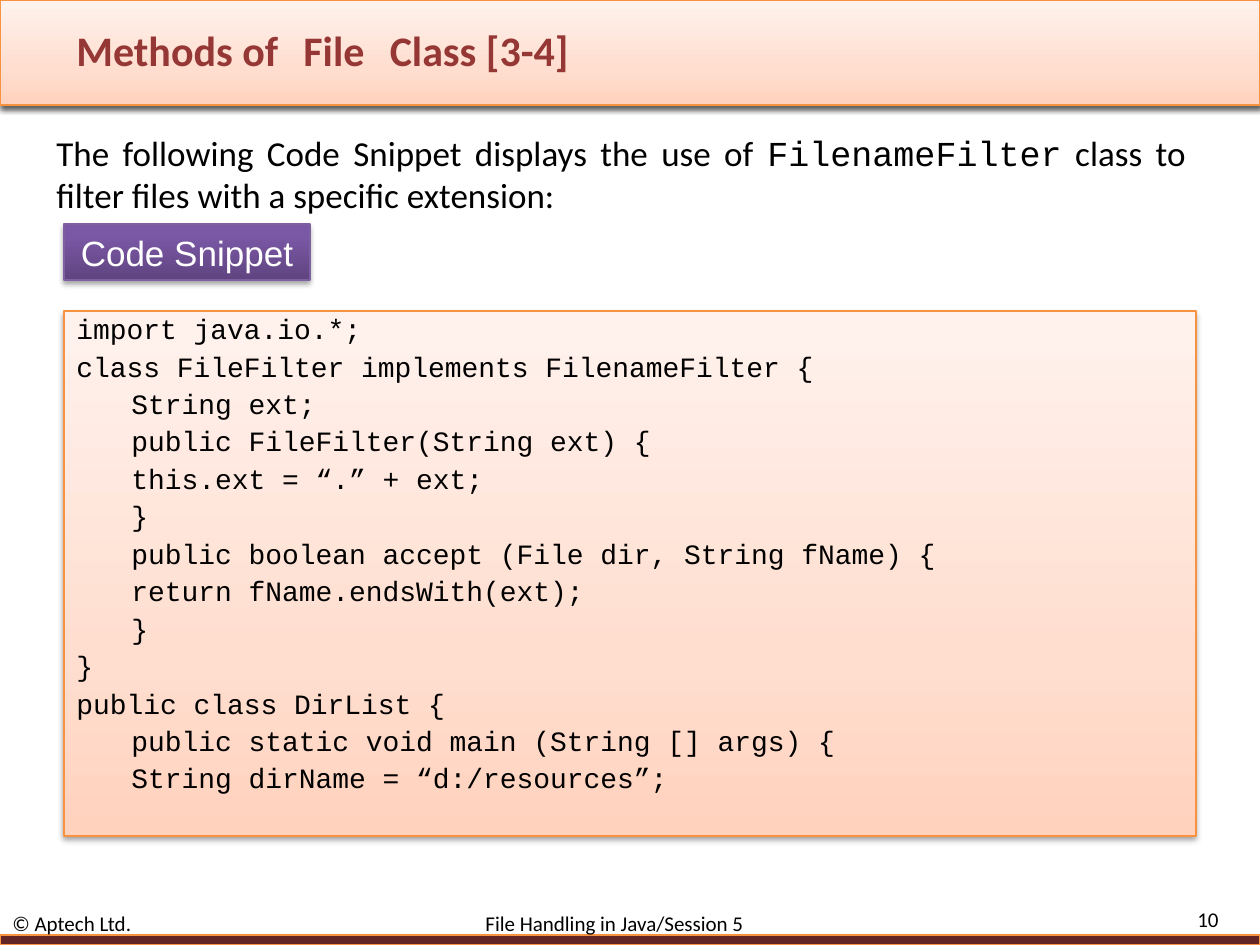
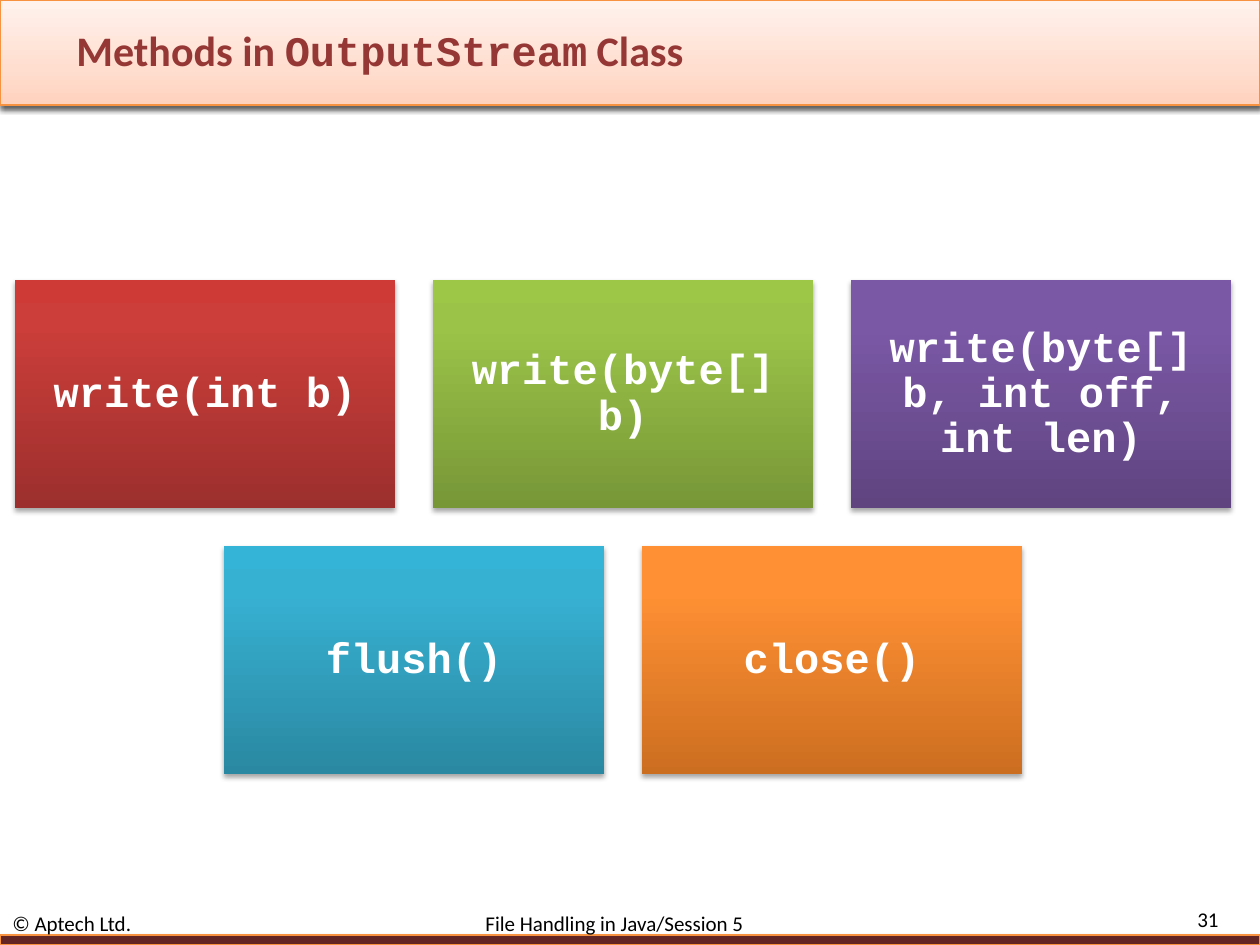
from copy import deepcopy
from lxml import etree
from pptx import Presentation, util as u
from pptx.dml.color import RGBColor
from pptx.enum import shapes, text
from pptx.oxml.ns import qn

PX = u.Inches(1) / 126
color = RGBColor.from_string

# Shared style: gradients run from bottom to top
PEACH = [(0, "FFD2BD"), (0.35, "FFDED0"), (1, "FFF2ED")]
RED = [(0, "9C2F2D"), (0.8, "CB3E3A"), (1, "CE3B37")]
GREEN = [(0, "779737"), (0.8, "9BC348"), (1, "9DC746")]
PURPLE = [(0, "5F4480"), (0.8, "7B58A6"), (1, "7C57A8")]
BLUE = [(0, "2A88A2"), (0.8, "37B1D2"), (1, "34B4D6")]
ORANGE = [(0, "CC6E20"), (0.8, "FF9034"), (1, "FF9136")]
MAROON, EDGE = "632523", "F69240"
SANS, MONO, LABEL = "Calibri", "Courier New", "Arial"
TITLE = {"size": u.Pt(24), "bold": True, "color": "953735"}
BODY = {"size": u.Pt(20), "color": "000000"}
CODE = {"size": u.Pt(16), "color": "000000"}
FOOTER = {"size": u.Pt(12), "color": "000000"}
TAG = {"size": u.Pt(20), "color": "FFFFFF"}
TILE = {"size": u.Pt(24), "bold": True, "color": "FFFFFF"}
LEFT, CENTER, RIGHT, JUSTIFY = (text.PP_ALIGN.LEFT, text.PP_ALIGN.CENTER,
                                text.PP_ALIGN.RIGHT, text.PP_ALIGN.JUSTIFY)
TOP, MIDDLE = text.MSO_ANCHOR.TOP, text.MSO_ANCHOR.MIDDLE


def add_box(slide, at, fill, line=None, shadow=35):
    """Add a shadowed rectangle with a solid or gradient fill."""
    shape = slide.shapes.add_shape(shapes.MSO_SHAPE.RECTANGLE, *[int(n * PX) for n in at])
    if isinstance(fill, str):
        shape.fill.solid()
        shape.fill.fore_color.rgb = color(fill)
    else:
        shape.fill.gradient()
        shape.fill.gradient_angle = 90
        stops = shape._element.spPr.find(".//" + qn("a:gsLst"))
        stops.append(deepcopy(stops[0]))
        for stop, (position, shade) in zip(shape.fill.gradient_stops, fill):
            stop.position = position
            stop.color.rgb = color(shade)
    if line:
        shape.line.color.rgb = color(line)
        shape.line.width = u.Pt(0.75)
    else:
        shape.line.fill.background()
    shape.shadow.inherit = False
    effects = shape._element.spPr.find(qn("a:effectLst"))
    outer = etree.SubElement(effects, qn("a:outerShdw"), blurRad=str(u.Pt(3.1)),
                             dist=str(u.Pt(1.8)), dir="5400000", rotWithShape="0")
    black = etree.SubElement(outer, qn("a:srgbClr"), val="000000")
    etree.SubElement(black, qn("a:alpha"), val=str(shadow * 1000))
    return shape


def write(shape, lines, style, align=LEFT, anchor=MIDDLE):
    """Write lines, each a list of (text, font name) runs, and return the paragraphs."""
    frame = shape.text_frame
    frame.word_wrap = True
    frame.vertical_anchor = anchor
    for number, runs in enumerate(lines):
        paragraph = frame.add_paragraph() if number else frame.paragraphs[0]
        paragraph.alignment = align
        for words, font_name in runs:
            run = paragraph.add_run()
            run.text = words
            run.font.name = font_name
            for name, value in style.items():
                if name == "color":
                    run.font.color.rgb = color(value)
                else:
                    setattr(run.font, name, value)
    return frame.paragraphs


presentation = Presentation()
presentation.slide_width, presentation.slide_height = u.Inches(10), u.Inches(7.5)

# Bands, title and footer on every slide
pages = [
    ("10", [("Methods of", SANS), (" ", MONO), ("File", SANS), (" ", MONO),
            ("Class [3-4]", SANS)]),
    ("31", [("Methods in ", SANS), ("OutputStream", MONO), (" Class", SANS)]),
]
for page_number, title in pages:
    slide = presentation.slides.add_slide(presentation.slide_layouts[6])
    add_box(slide, (0, 0, 1260, 105), PEACH, EDGE, 62)
    add_box(slide, (0, 935, 1260, 10), MAROON, EDGE)
    for at, runs, style, align in [
        ((64, 21, 1017, 57), title, TITLE, LEFT),
        ((0, 913, 1113, 21), [("© Aptech Ltd.\tFile Handling in Java/Session 5", SANS)],
         FOOTER, LEFT),
        ((1124, 908, 107, 23), [(page_number, SANS)], FOOTER, RIGHT),
    ]:
        shape = slide.shapes.add_textbox(*[int(n * PX) for n in at])
        paragraph = write(shape, [runs], style, align)[0]
        if "\t" in paragraph.text:
            tabs = etree.SubElement(paragraph._p.get_or_add_pPr(), qn("a:tabLst"))
            etree.SubElement(tabs, qn("a:tab"), pos=str(int(473 * PX)), algn="l")

code_slide, methods_slide = presentation.slides

# Introduction
introduction = code_slide.shapes.add_textbox(*[int(n * PX) for n in (44, 125, 1154, 95)])
write(introduction, [[
    ("The following Code Snippet displays the use of ", SANS),
    ("FilenameFilter", MONO),
    (" class to filter files with a specific extension:", SANS),
]], BODY, JUSTIFY, TOP)

# Code listing: (indented, line)
code = [
    (False, "import java.io.*;"),
    (False, "class FileFilter implements FilenameFilter {"),
    (True, "String ext;"),
    (True, "public FileFilter(String ext) {"),
    (True, "this.ext = “.” + ext;"),
    (True, "}"),
    (True, "public boolean accept (File dir, String fName) {"),
    (True, "return fName.endsWith(ext);"),
    (True, "}"),
    (False, "}"),
    (False, "public class DirList {"),
    (True, "public static void main (String [] args) {"),
    (True, "String dirName = “d:/resources”;"),
]
listing = add_box(code_slide, (64, 311, 1132, 525), PEACH, EDGE, 38)
paragraphs = write(listing, [[(line, MONO)] for _, line in code], CODE, LEFT, TOP)
for number, (paragraph, (indented, _)) in enumerate(zip(paragraphs, code)):
    paragraph.line_spacing = u.Pt(16)
    if number:
        paragraph.space_before = u.Pt(5.4)
    if indented:
        paragraph._p.get_or_add_pPr().set("indent", str(int(55 * PX)))

# Code label
label = add_box(code_slide, (64, 224, 246, 56), PURPLE, "7D60A0")
write(label, [[("Code Snippet", LABEL)]], TAG, CENTER)

# Method tiles: three above two, the lower row shifted by half a step
WIDTH, HEIGHT, GAP = 380, 228, 38
rows = [
    (15, [("write(int b)", RED), ("write(byte[] b)", GREEN),
          ("write(byte[] b, int off, int len)", PURPLE)]),
    (15 + (WIDTH + GAP) // 2, [("flush()", BLUE), ("close()", ORANGE)]),
]
for row, (left, methods) in enumerate(rows):
    for column, (method, fill) in enumerate(methods):
        tile = add_box(methods_slide, (left + column * (WIDTH + GAP),
                                       280 + row * (HEIGHT + GAP), WIDTH, HEIGHT), fill)
        write(tile, [[(method, MONO)]], TILE, CENTER)[0].line_spacing = 0.9

presentation.save("out.pptx")
